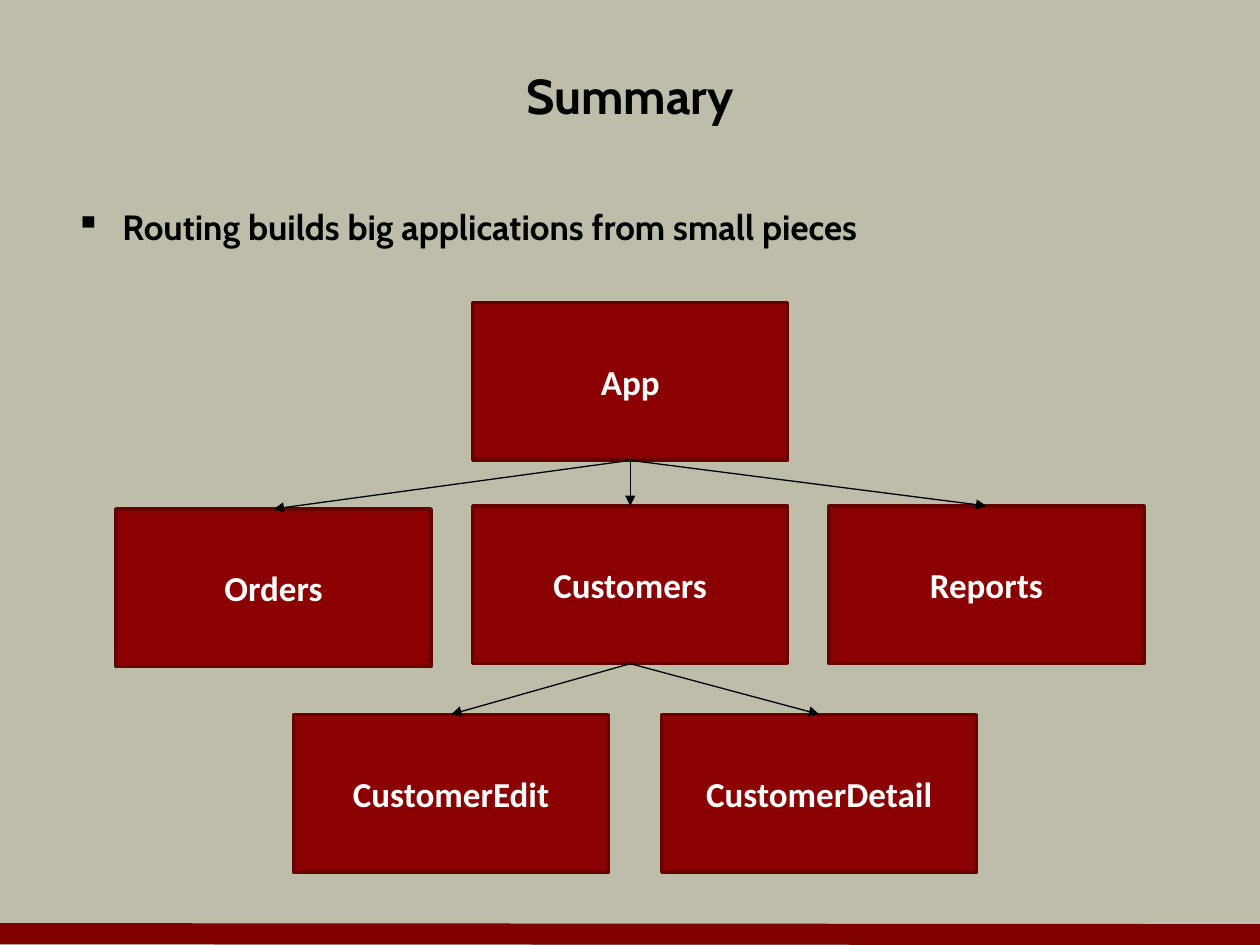
from dataclasses import dataclass

from lxml.etree import SubElement
from pptx import Presentation
from pptx.dml.color import RGBColor
from pptx.enum.shapes import MSO_CONNECTOR, MSO_SHAPE
from pptx.enum.text import MSO_ANCHOR, PP_ALIGN
from pptx.oxml.ns import qn
from pptx.util import Cm, Pt


@dataclass(frozen=True)
class Theme:
    background: RGBColor = RGBColor.from_string("BDBDA9")
    footer: RGBColor = RGBColor.from_string("800000")
    box: RGBColor = RGBColor.from_string("8B0000")
    box_line: RGBColor = RGBColor.from_string("670000")
    dark: RGBColor = RGBColor.from_string("000000")
    light: RGBColor = RGBColor.from_string("FFFFFF")
    heading_font: str = "Cabin"
    box_font: str = "Calibri"
    title_size: Pt = Pt(28)
    text_size: Pt = Pt(20)


theme = Theme()


def format_text(shape, text, font_name, size, color, alignment, anchor):
    shape.text_frame.text = text
    shape.text_frame.vertical_anchor = anchor
    paragraph = shape.text_frame.paragraphs[0]
    paragraph.alignment = alignment
    font = paragraph.runs[0].font
    font.name = font_name
    font.size = size
    font.bold = True
    font.color.rgb = color
    return paragraph


def add_line(start_x, start_y, end_x, end_y, color, width):
    connector = slide.shapes.add_connector(
        MSO_CONNECTOR.STRAIGHT, Cm(start_x), Cm(start_y), Cm(end_x), Cm(end_y)
    )
    connector.line.color.rgb = color
    connector.line.width = width
    SubElement(connector._element.spPr, qn("a:effectLst"))
    return connector


presentation = Presentation()
presentation.slide_width = Cm(25.4)
presentation.slide_height = Cm(19.05)
slide = presentation.slides.add_slide(presentation.slide_layouts[6])
slide.background.fill.solid()
slide.background.fill.fore_color.rgb = theme.background

add_line(0, 18.82, 25.4, 18.84, theme.footer, Pt(12))

title = slide.shapes.add_textbox(Cm(1.27), Cm(0.85), Cm(22.86), Cm(2.12))
title.text_frame.word_wrap = True
format_text(title, "Summary", theme.heading_font, theme.title_size, theme.dark,
            PP_ALIGN.CENTER, MSO_ANCHOR.MIDDLE)

body = slide.shapes.add_textbox(Cm(1.27), Cm(4.02), Cm(22.86), Cm(12.5))
body.text_frame.word_wrap = True
paragraph = format_text(body, "Routing builds big applications from small pieces",
                        theme.heading_font, theme.text_size, theme.dark,
                        PP_ALIGN.LEFT, MSO_ANCHOR.TOP)
properties = paragraph._p.get_or_add_pPr()
properties.set("marL", str(Cm(0.95)))
properties.set("indent", str(-Cm(0.95)))
SubElement(properties, qn("a:buChar"), char="▪")

components = [
    ("App", 9.53, 6.1),
    ("Reports", 16.71, 10.2),
    ("Customers", 9.53, 10.2),
    ("Orders", 2.34, 10.26),
    ("CustomerDetail", 13.34, 14.4),
    ("CustomerEdit", 5.92, 14.4),
]
boxes = {}
for name, left, top in components:
    box = slide.shapes.add_shape(MSO_SHAPE.RECTANGLE, Cm(left), Cm(top), Cm(6.35), Cm(3.18))
    box.shadow.inherit = False
    box.fill.solid()
    box.fill.fore_color.rgb = theme.box
    box.line.color.rgb = theme.box_line
    box.line.width = Pt(2)
    format_text(box, name, theme.box_font, theme.text_size, theme.light,
                PP_ALIGN.CENTER, MSO_ANCHOR.MIDDLE)
    box.text_frame.word_wrap = False
    boxes[name] = box

routes = [
    ("App", "Customers", 0.5),
    ("App", "Orders", 0.75),
    ("App", "Reports", 0.75),
    ("Customers", "CustomerEdit", 0.75),
    ("Customers", "CustomerDetail", 0.75),
]
for parent, child, width in routes:
    arrow = add_line(0, 0, 0, 0, theme.dark, Pt(width))
    arrow.begin_connect(boxes[parent], 2)
    arrow.end_connect(boxes[child], 0)
    SubElement(arrow.line._get_or_add_ln(), qn("a:tailEnd"), type="triangle")

presentation.save("out.pptx")
